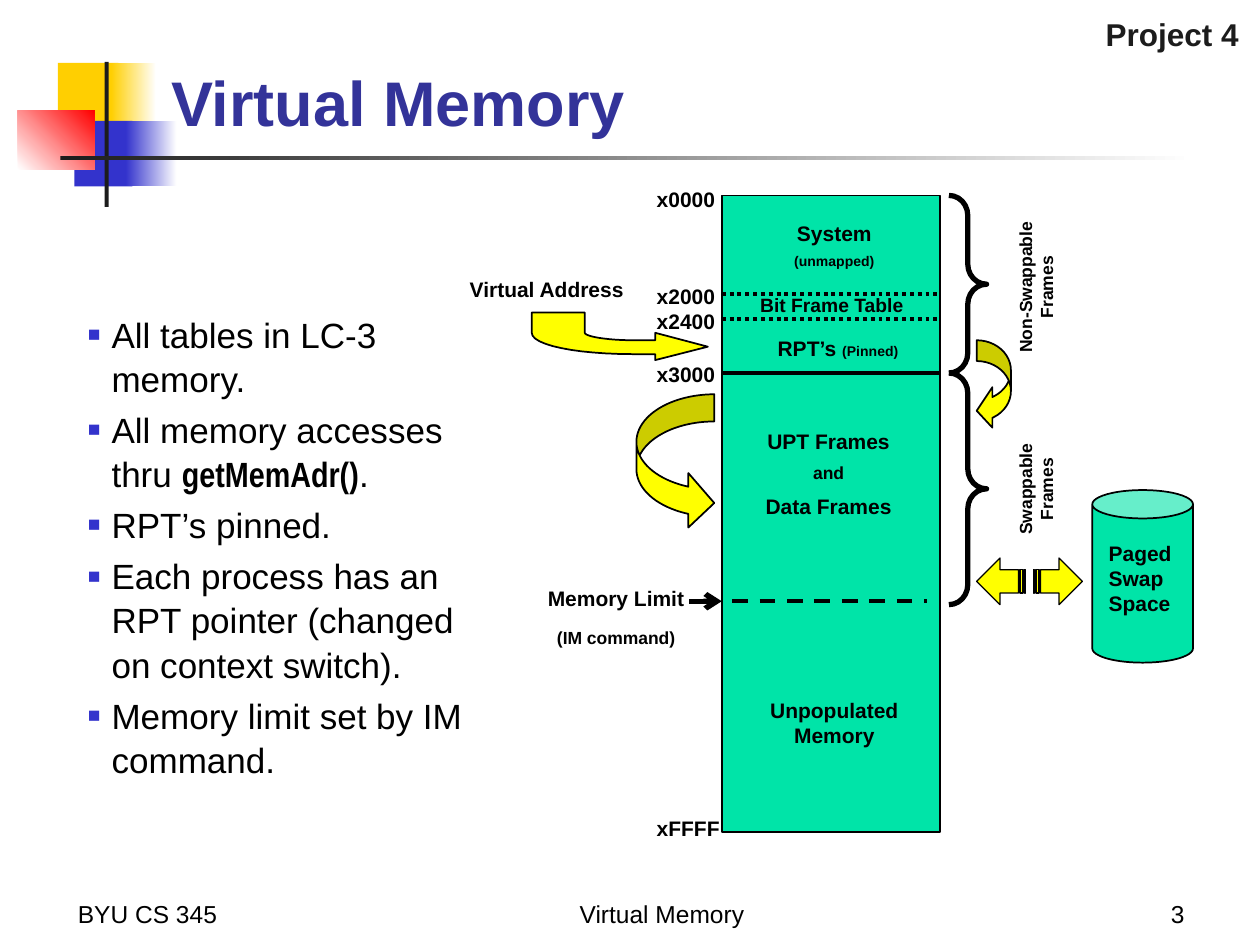
from lxml.etree import SubElement
from pptx import Presentation
from pptx.dml.color import RGBColor
from pptx.enum.dml import MSO_LINE
from pptx.enum.shapes import MSO_CONNECTOR, MSO_SHAPE
from pptx.enum.text import MSO_ANCHOR, PP_ALIGN
from pptx.oxml.ns import qn
from pptx.util import Cm, Pt

BLACK = RGBColor(0x00, 0x00, 0x00)
CHARCOAL = RGBColor(0x1C, 0x1C, 0x1C)
WHITE = RGBColor(0xFF, 0xFF, 0xFF)
GOLD = RGBColor(0xFF, 0xCF, 0x01)
BLUE = RGBColor(0x33, 0x33, 0xCC)
RED = RGBColor(0xFF, 0x00, 0x00)
NAVY = RGBColor(0x33, 0x33, 0x99)
GREEN = RGBColor(0x00, 0xE4, 0xA8)
YELLOW = RGBColor(0xFF, 0xFF, 0x00)

CENTER, RIGHT = PP_ALIGN.CENTER, PP_ALIGN.RIGHT
MEMORY_LEFT, MEMORY_RIGHT = 14.55, 18.95


def add_run(p, text, size=12, bold=True, color=BLACK, font="Arial"):
    r = p.add_run()
    r.text = text
    r.font.name = font
    r.font.size = Pt(size)
    r.font.bold = bold
    r.font.color.rgb = color


def add_bullet(p):
    pPr = p._p.get_or_add_pPr()
    pPr.set("marL", str(Cm(0.48)))
    pPr.set("indent", str(-Cm(0.48)))
    SubElement(SubElement(pPr, qn("a:buClr")), qn("a:srgbClr"), val=str(BLUE))
    SubElement(pPr, qn("a:buSzPct"), val="60000")
    SubElement(pPr, qn("a:buFont"), typeface="Arial")
    SubElement(pPr, qn("a:buChar"), char="■")


def bezier(p0, p1, p2, p3, steps=12):
    """Points of a cubic curve, without its start."""
    points = []
    for i in range(1, steps + 1):
        t = i / steps
        weights = ((1 - t) ** 3, 3 * t * (1 - t) ** 2, 3 * t * t * (1 - t), t ** 3)
        points.append(tuple(sum(w * q[axis] for w, q in zip(weights, (p0, p1, p2, p3)))
                            for axis in (0, 1)))
    return points


class Canvas:
    """Draws on one slide, with all lengths in centimetres."""

    def __init__(self, s):
        self.s = s

    def paint(self, sp, fill=None, line=None, fade=None, angle=0):
        """Fill plain, or as a gradient from fill to fade; line is a width in points."""
        sp.shadow.inherit = False
        if fade is not None:
            sp.fill.gradient()
            sp.fill.gradient_angle = angle
            for stop, color, position in zip(sp.fill.gradient_stops, (fill, fade), (0, 1)):
                stop.color.rgb = color
                stop.position = position
        elif fill is not None:
            sp.fill.solid()
            sp.fill.fore_color.rgb = fill
        else:
            sp.fill.background()
        if line:
            sp.line.color.rgb = BLACK
            sp.line.width = Pt(line)
        else:
            sp.line.fill.background()

    def shape(self, kind, x, y, w, h, adjust=(), flip=False, **style):
        sp = self.s.shapes.add_shape(kind, Cm(x), Cm(y), Cm(w), Cm(h))
        for i, value in enumerate(adjust):
            sp.adjustments[i] = value
        if flip:
            sp._element.spPr.get_or_add_xfrm().set("flipH", "1")
        self.paint(sp, **style)

    def outline(self, points, **style):
        builder = self.s.shapes.build_freeform(Cm(points[0][0]), Cm(points[0][1]))
        builder.add_line_segments([(Cm(x), Cm(y)) for x, y in points[1:]], close=True)
        self.paint(builder.convert_to_shape(), **style)

    def line(self, x1, x2, y, width=2.25, dash=None, arrow=False):
        cn = self.s.shapes.add_connector(MSO_CONNECTOR.STRAIGHT, Cm(x1), Cm(y), Cm(x2), Cm(y))
        cn.line.color.rgb = BLACK
        cn.line.width = Pt(width)
        if dash:
            cn.line.dash_style = dash
        if arrow:
            SubElement(cn.line._get_or_add_ln(), qn("a:tailEnd"), type="arrow")
        SubElement(cn._element.spPr, qn("a:effectLst"))

    def text(self, x, y, w, h, *paragraphs, align=None, anchor=MSO_ANCHOR.TOP, before=0,
             spacing=None, bullet=False, inset=True, wrap=True, rotation=0, **style):
        """A paragraph is a string or a list of (text, format); before is a share of its size."""
        box = self.s.shapes.add_textbox(Cm(x), Cm(y), Cm(w), Cm(h))
        box.rotation = rotation
        tf = box.text_frame
        tf.word_wrap = wrap
        tf.vertical_anchor = anchor
        if not inset:
            tf.margin_left = tf.margin_right = tf.margin_top = tf.margin_bottom = 0
        for i, runs in enumerate(paragraphs):
            p = tf.add_paragraph() if i else tf.paragraphs[0]
            if isinstance(runs, str):
                runs = [(runs, {})]
            if bullet:
                add_bullet(p)
            if align:
                p.alignment = align
            if spacing:
                p.line_spacing = spacing
            if i and before:
                p.space_before = Pt(before * {**style, **runs[0][1]}.get("size", 12))
            for text, extra in runs:
                add_run(p, text, **{**style, **extra})


def draw_frame(c):
    rect = MSO_SHAPE.RECTANGLE
    c.shape(rect, 1.17, 1.27, 1.22, 1.32, fill=GOLD)
    c.shape(rect, 2.24, 1.27, 0.91, 1.32, fill=GOLD, fade=WHITE)
    c.shape(rect, 1.5, 2.44, 1.17, 1.32, fill=BLUE)
    c.shape(rect, 2.54, 2.44, 1.02, 1.32, fill=BLUE, fade=WHITE)
    c.shape(rect, 0.36, 2.23, 1.55, 1.18, fill=WHITE, fade=RED, angle=45)
    c.shape(rect, 2.11, 1.25, 0.08, 2.92, fill=CHARCOAL)
    c.shape(rect, 1.22, 3.15, 22.86, 0.08, fill=CHARCOAL, fade=WHITE)
    for x, w, text, align in ((1.32, 5.28, "BYU CS 345", None),
                              (9.32, 8.05, "Virtual Memory", CENTER),
                              (18.85, 5.28, "3", RIGHT)):
        c.text(x, 17.58, w, 1.27, text, align=align, anchor=MSO_ANCHOR.BOTTOM,
               size=14, bold=False)
    c.text(3.2, 0.53, 21.64, 2.41, "Virtual Memory", anchor=MSO_ANCHOR.BOTTOM,
           size=36, color=NAVY)
    c.text(16.13, 0.18, 9.09, 1.02, "Project 4", align=RIGHT, size=18, color=CHARCOAL)


def draw_bullets(c):
    c.text(1.52, 6.15, 8.31, 9.35,
           "All tables in LC-3 memory.",
           [("All memory accesses thru ", {}),
            ("getMemAdr()", {"font": "Arial Narrow", "bold": True}), (".", {})],
           "RPT’s pinned.",
           "Each process has an RPT pointer (changed on context switch).",
           "Memory limit set by IM command.",
           bullet=True, before=0.2, spacing=1.05, size=20, bold=False)


def draw_memory(c):
    c.shape(MSO_SHAPE.RECTANGLE, MEMORY_LEFT, 3.94, 4.4, 12.83, fill=GREEN, line=1)
    for y, address in ((3.63, "x0000"), (5.59, "x2000"), (6.1, "x2400"),
                       (7.16, "x3000"), (16.31, "xFFFF")):
        c.text(12.99, y, 1.98, 0.76, address)
    for y, dash in ((5.92, MSO_LINE.ROUND_DOT), (6.43, MSO_LINE.ROUND_DOT), (7.52, None)):
        c.line(MEMORY_LEFT, MEMORY_RIGHT, y, dash=dash)
    c.line(14.76, 18.69, 12.12, dash=MSO_LINE.DASH)

    small = {"size": 8}
    c.text(14.66, 4.32, 4.32, 1.27, "System", [("(unmapped)", small)], align=CENTER, before=0.5)
    c.text(14.66, 5.92, 4.22, 0.48, "Bit Frame Table", align=CENTER, inset=False, size=11)
    c.text(14.66, 6.63, 4.47, 0.76, [("RPT’s ", {}), ("(Pinned)", small)], align=CENTER)
    c.text(14.66, 8.51, 4.09, 2.18, "UPT Frames", [("and", {"size": 10})], "Data Frames",
           align=CENTER, before=0.5)
    c.text(14.66, 13.94, 4.32, 1.27, "Unpopulated", "Memory", align=CENTER)


def draw_address_flow(c):
    c.text(9.22, 5.46, 3.78, 0.76, "Virtual Address")
    outer = bezier((12.75, 7.14), (11.63, 7.14), (10.72, 6.96), (10.72, 6.71))
    inner = bezier((11.79, 6.71), (11.79, 6.78), (12.22, 6.86), (12.75, 6.86))
    c.outline([(14.27, 6.99), (13.21, 7.26), (13.21, 7.14), (12.75, 7.14), *outer,
               (10.72, 6.3), (11.79, 6.3), (11.79, 6.71), *inner,
               (13.21, 6.86), (13.21, 6.71)], fill=YELLOW, line=1)
    c.shape(MSO_SHAPE.CURVED_LEFT_ARROW, 19.69, 6.86, 0.69, 1.83,
            adjust=(0.607, 1.183, 0.458), fill=YELLOW, line=1)
    c.shape(MSO_SHAPE.CURVED_RIGHT_ARROW, 12.83, 7.95, 1.57, 2.74,
            adjust=(0.349, 0.699, 0.333), fill=YELLOW, line=1)
    c.text(10.64, 11.68, 3.56, 1.55, "Memory Limit", [("(IM command)", {"size": 10})],
           align=CENTER, before=0.92)
    c.line(13.89, MEMORY_LEFT, 12.12, width=3, arrow=True)


def draw_swapping(c):
    for y, h in ((3.94, 3.58), (7.52, 4.67)):
        c.shape(MSO_SHAPE.RIGHT_BRACE, 19.13, y, 0.76, h, adjust=(0.53, 0.5), line=3)
    for x, y, w, name in ((19.3, 5.23, 3.18, "Non-Swappable"), (19.71, 9.3, 2.36, "Swappable")):
        c.text(x, y, w, 1.12, name, "Frames", align=CENTER, rotation=270, wrap=False, size=10)
    for x, flip in ((20.83, False), (19.69, True)):
        c.shape(MSO_SHAPE.STRIPED_RIGHT_ARROW, x, 11.25, 0.99, 0.94, flip=flip,
                fill=YELLOW, line=0.75)
    c.shape(MSO_SHAPE.CAN, 22.02, 9.88, 2.03, 3.48, adjust=(0.282,), fill=GREEN, line=1)
    c.text(22.1, 10.77, 2.03, 1.78, "Paged", "Swap", "Space")


def main():
    prs = Presentation()
    prs.slide_width, prs.slide_height = Cm(25.4), Cm(19.05)
    c = Canvas(prs.slides.add_slide(prs.slide_layouts[6]))
    for draw in (draw_frame, draw_bullets, draw_memory, draw_address_flow, draw_swapping):
        draw(c)
    prs.save("out.pptx")


if __name__ == "__main__":
    main()
